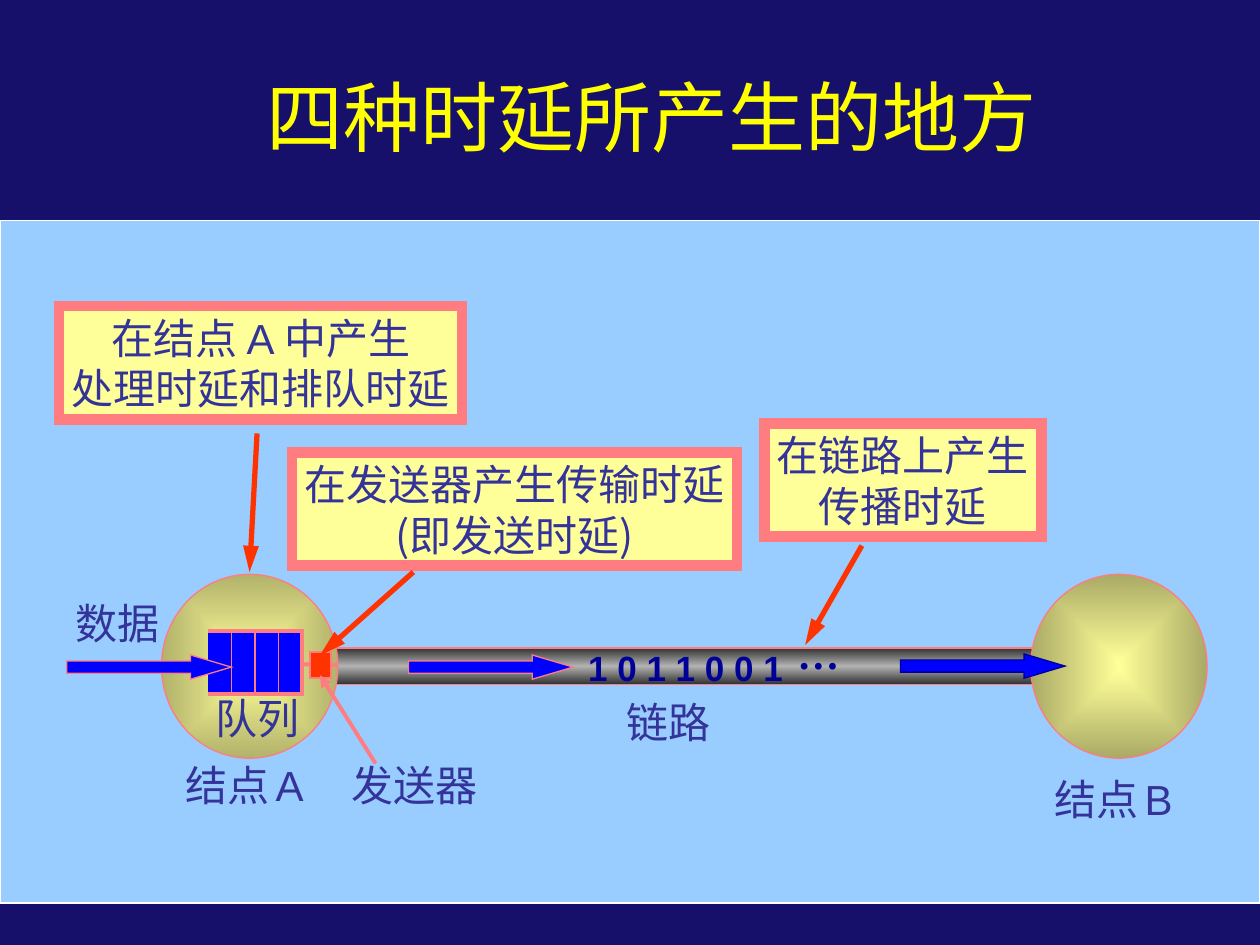
from lxml import etree
from pptx import Presentation
from pptx.dml.color import RGBColor
from pptx.enum.shapes import MSO_CONNECTOR, MSO_SHAPE
from pptx.enum.text import MSO_ANCHOR, PP_ALIGN
from pptx.oxml import parse_xml
from pptx.oxml.ns import nsdecls, qn
from pptx.util import Pt

RECT, OVAL, ARROW = MSO_SHAPE.RECTANGLE, MSO_SHAPE.OVAL, MSO_SHAPE.RIGHT_ARROW
STRAIGHT = MSO_CONNECTOR.STRAIGHT
LEFT, CENTER = PP_ALIGN.LEFT, PP_ALIGN.CENTER
MIDDLE = MSO_ANCHOR.MIDDLE
rgb = RGBColor.from_string

PINK, RED, BLUE, NAVY, INDIGO = "FF7C80", "FF3300", "0000FF", "000099", "333399"
YELLOW, CREAM = "FFFF00", "FFFF99"
ARIAL, TIMES, NOTO = "Arial", "Times New Roman", "Noto Sans CJK SC"


def paint(sp, fill, line, width):
    sp.shadow.inherit = False
    sp.fill.solid()
    sp.fill.fore_color.rgb = rgb(fill)
    sp.line.color.rgb = rgb(line)
    sp.line.width = Pt(width)
    etree.SubElement(sp.line._get_or_add_ln(), qn("a:miter"), lim="800000")


def connect(x1, y1, x2, y2, color, width, head=None):
    line = s.shapes.add_connector(STRAIGHT, Pt(x1), Pt(y1), Pt(x2), Pt(y2))
    line.line.color.rgb = rgb(color)
    line.line.width = Pt(width)
    if head:
        ln = line.line._get_or_add_ln()
        etree.SubElement(ln, qn("a:tailEnd"), type="triangle", w="med", len=head)
    etree.SubElement(line._element.spPr, qn("a:effectLst"))


prs = Presentation()
prs.slide_width, prs.slide_height = Pt(720), Pt(540)
s = prs.slides.add_slide(prs.slide_layouts[6])
s.background.fill.solid()
s.background.fill.fore_color.rgb = rgb("16106B")

panel = s.shapes.add_shape(RECT, Pt(0), Pt(126), Pt(720), Pt(390))
paint(panel, "99CCFF", "FFFFFF", 1)

linear = '<a:lin ang="5400000" scaled="1"/>'
radial = '<a:path path="rect"><a:fillToRect l="50000" t="50000" r="50000" b="50000"/></a:path>'
pipe_stops = [(0, "313131"), (50, "B2B2B2"), (100, "313131")]
for kind, x, y, w, h, stops, direction in [
    (RECT, 186.5, 370.2, 409.5, 20.9, pipe_stops, linear),
    (OVAL, 92.3, 328.2, 100.8, 105.1, [(0, CREAM), (100, "B2B26B")], radial),
    (OVAL, 589, 328.2, 100.8, 105.1, [(0, CREAM), (100, "AAAA66")], radial),
]:
    sp = s.shapes.add_shape(kind, Pt(x), Pt(y), Pt(w), Pt(h))
    paint(sp, CREAM, PINK, 0.75)
    gs = "".join(
        f'<a:gs pos="{pos * 1000}"><a:srgbClr val="{color}"/></a:gs>' for pos, color in stops
    )
    grad = parse_xml(
        f'<a:gradFill {nsdecls("a")} rotWithShape="1"><a:gsLst>{gs}</a:gsLst>{direction}</a:gradFill>'
    )
    spPr = sp._element.spPr
    spPr.replace(spPr.find(qn("a:solidFill")), grad)

left, top, right, bottom = 118.8, 360.7, 172.8, 396.7
fb = s.shapes.build_freeform(Pt(left), Pt(top))
fb.add_line_segments(
    [(Pt(right), Pt(top)), (Pt(right), Pt(bottom)), (Pt(left), Pt(bottom))], close=False
)
paint(fb.convert_to_shape(), BLUE, PINK, 2.25)
for i in range(1, 4):
    x = left + i * (right - left) / 4
    connect(x, top, x, bottom, PINK, 0.75)
connect(right, 379.6, 193, 380, PINK, 2.25)

sender = s.shapes.add_shape(RECT, Pt(177.1), Pt(372.5), Pt(12), Pt(15))
paint(sender, RED, PINK, 0.75)

for x, y, line in [(233.5, 374.3, PINK), (38.2, 374.3, PINK), (514.6, 373.7, NAVY)]:
    sp = s.shapes.add_shape(ARROW, Pt(x), Pt(y), Pt(94), Pt(13.9))
    sp.adjustments[0], sp.adjustments[1] = 0.5, 1.68
    paint(sp, BLUE, line, 0.75)

node = [("结点", TIMES, 24), (" ", ARIAL, 16)]
for x, y, w, h, align, color, bold, boxed, lines in [
    (95.8, 30.2, 563, 72, CENTER, YELLOW, False, False, [[("四种时延所产生的地方 ", ARIAL, 44)]]),
    (329, 365.8, 126, 31.5, LEFT, NAVY, True, False, [[("1 0 1 1 0 0 1", ARIAL, 20)]]),
    (448.6, 355, 38, 36, LEFT, NAVY, True, False, [[("…", TIMES, 24)]]),
    (193.7, 430.6, 88, 36, LEFT, INDIGO, False, False, [[("发送器", TIMES, 24)]]),
    (116, 392.4, 66, 36, LEFT, INDIGO, False, False, [[("队列", TIMES, 24)]]),
    (36, 337.7, 66, 36, LEFT, INDIGO, False, False, [[("数据", TIMES, 24)]]),
    (350.9, 394.6, 66, 36, LEFT, INDIGO, False, False, [[("链路", TIMES, 24)]]),
    (595.4, 438.2, 90, 36, LEFT, INDIGO, False, False, [node + [("B", ARIAL, 24)]]),
    (98.9, 430.6, 90, 36, LEFT, INDIGO, False, False, [node + [("A", ARIAL, 24)]]),
    (436.8, 241.9, 158.4, 64.8, CENTER, INDIGO, False, True,
     [[("在链路上产生", NOTO, 24)], [("传播时延", NOTO, 24)]]),
    (167, 258.5, 254.2, 64.8, CENTER, INDIGO, False, True,
     [[("在发送器产生传输时延", NOTO, 24)], [("(即发送时延)", NOTO, 24)]]),
    (33.8, 175, 230.4, 64.8, CENTER, INDIGO, False, True,
     [[("在结点 ", NOTO, 24), ("A ", ARIAL, 24), ("中产生", NOTO, 24)],
      [("处理时延和排队时延", NOTO, 24)]]),
]:
    if boxed:
        sp = s.shapes.add_shape(RECT, Pt(x), Pt(y), Pt(w), Pt(h))
        paint(sp, CREAM, PINK, 6)
    else:
        sp = s.shapes.add_textbox(Pt(x), Pt(y), Pt(w), Pt(h))
    tf = sp.text_frame
    tf.word_wrap = False
    tf.vertical_anchor = MIDDLE
    for i, runs in enumerate(lines):
        p = tf.add_paragraph() if i else tf.paragraphs[0]
        p.alignment = align
        p.font.bold = bold
        p.font.color.rgb = rgb(color)
        for text, font, size in runs:
            r = p.add_run()
            r.text = text
            r.font.name = font
            r.font.size = Pt(size)

connect(492.5, 311.8, 460.1, 368.6, RED, 3, "lg")
connect(236.2, 326.9, 182.9, 374.4, RED, 3, "lg")
connect(214.6, 436.3, 182.9, 385.9, PINK, 2.25, "med")
connect(146.9, 247.7, 142.6, 326.9, RED, 3, "lg")

prs.save("out.pptx")
